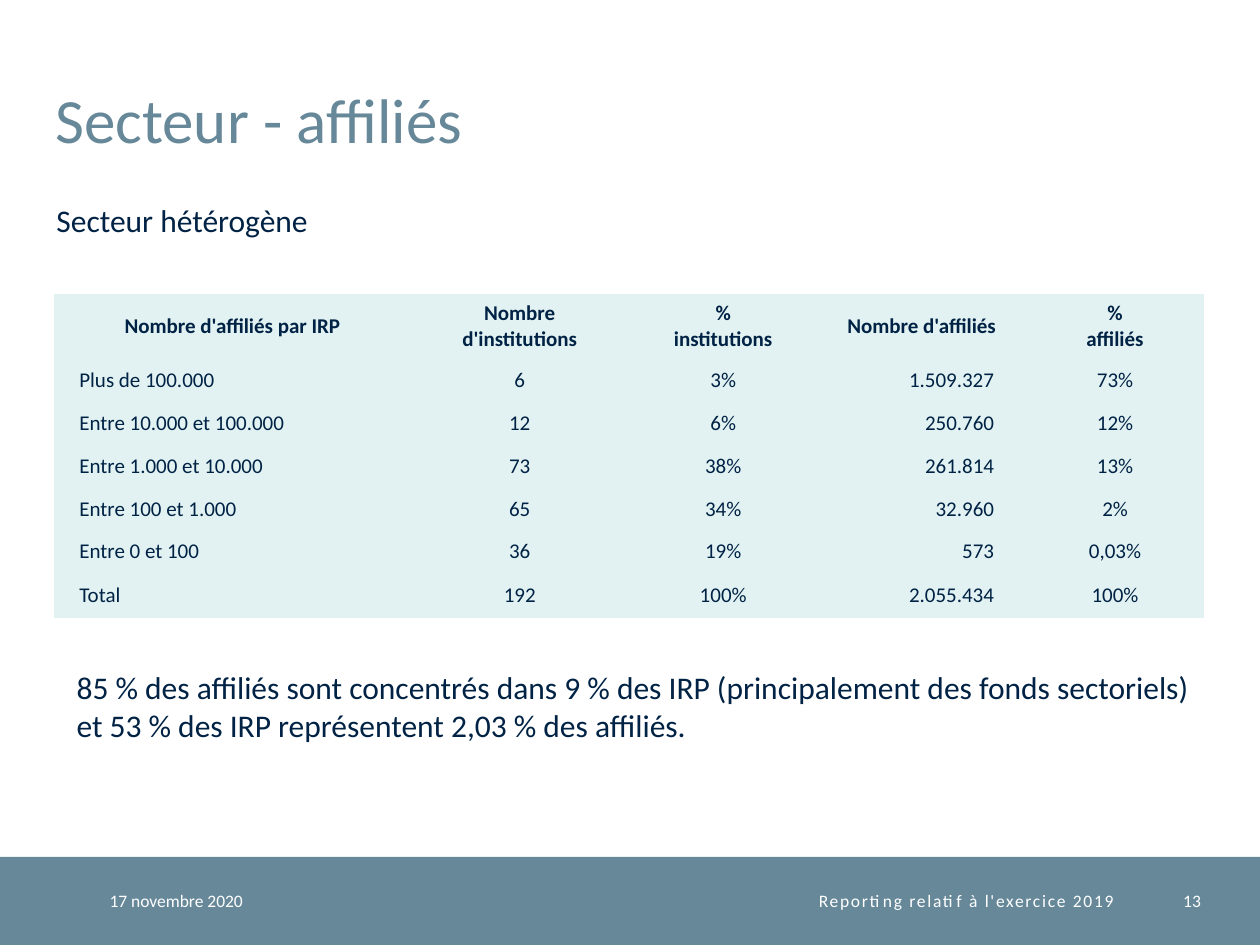
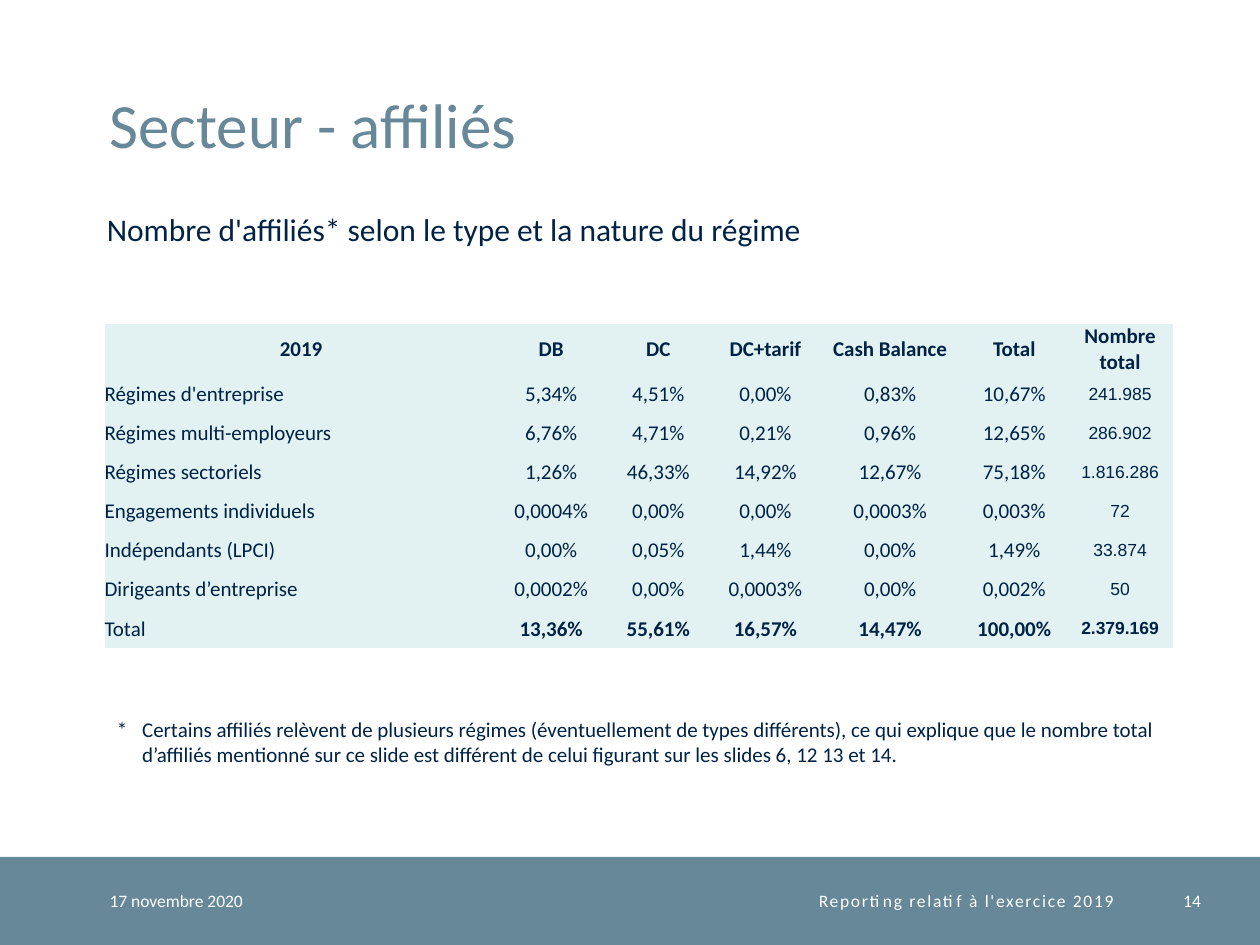
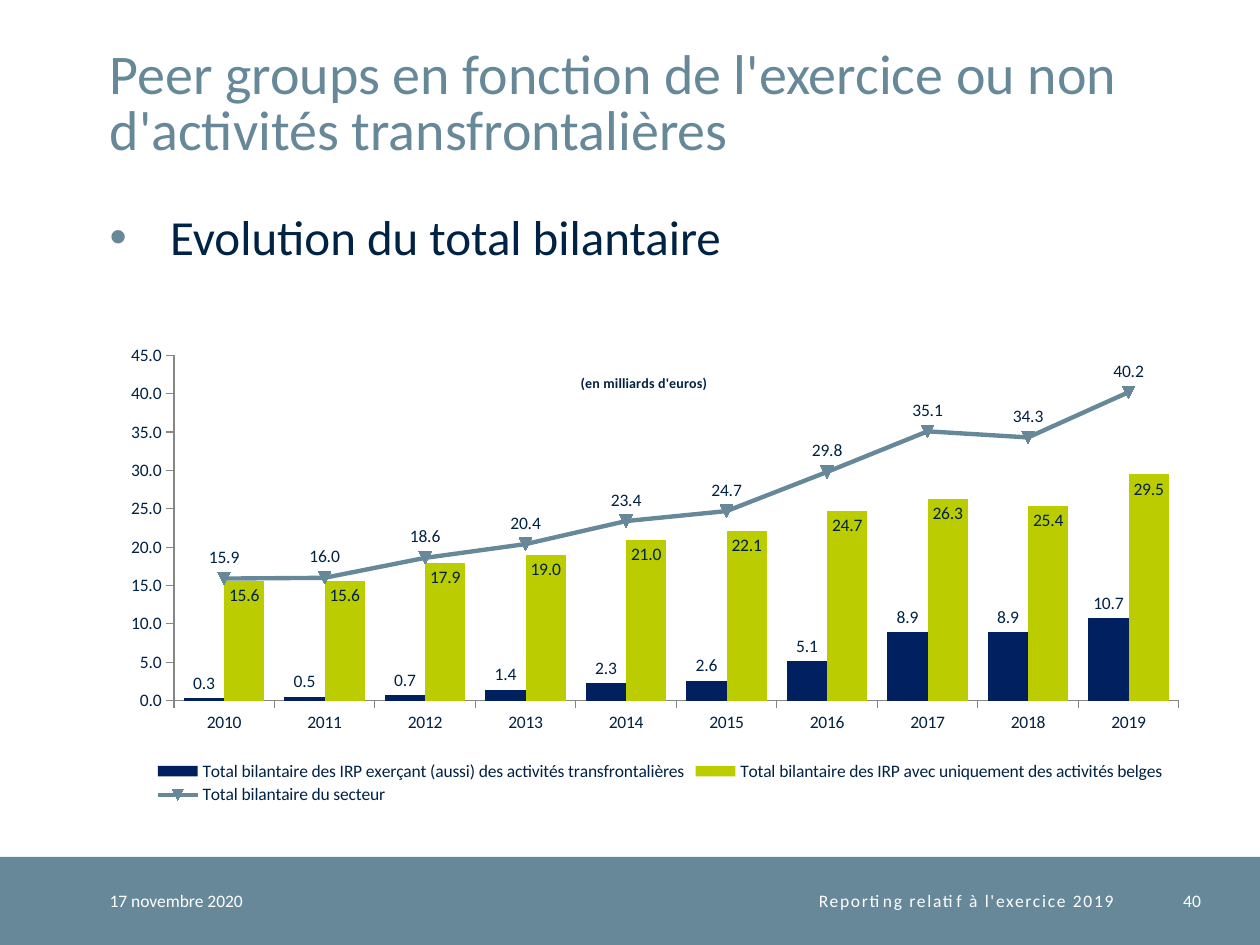
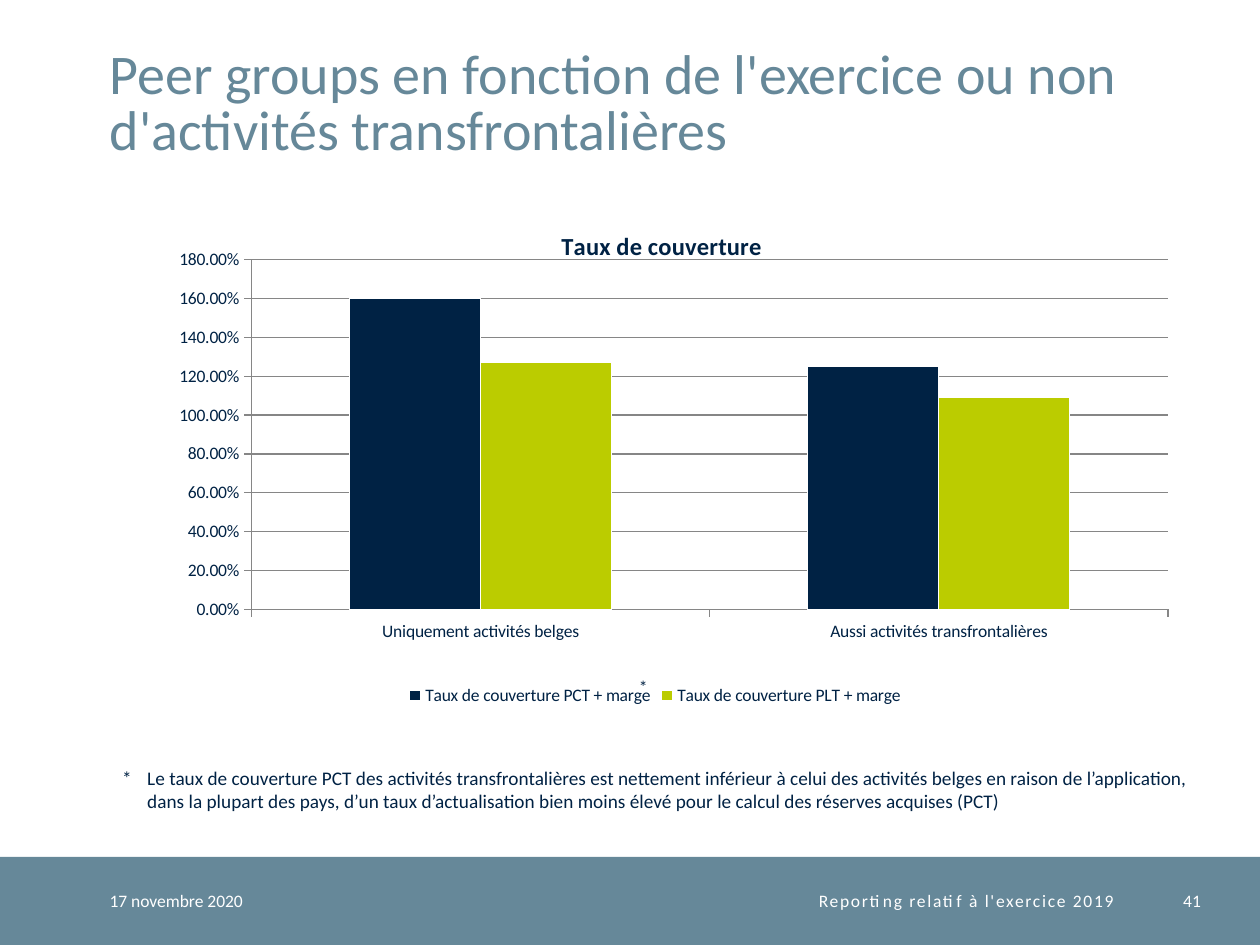
from dataclasses import dataclass

from pptx import Presentation
from pptx.chart.data import CategoryChartData
from pptx.dml.color import RGBColor
from pptx.enum.chart import XL_CHART_TYPE, XL_LABEL_POSITION, XL_LEGEND_POSITION, XL_TICK_MARK
from pptx.enum.shapes import MSO_SHAPE
from pptx.enum.text import MSO_ANCHOR, MSO_AUTO_SIZE, PP_ALIGN
from pptx.oxml import parse_xml
from pptx.oxml.ns import nsdecls, qn
from pptx.util import Pt

# Scale: 100 px to the inch
PX = 9144

# Enum members
LEFT, CENTER, RIGHT = PP_ALIGN.LEFT, PP_ALIGN.CENTER, PP_ALIGN.RIGHT
TOP, MIDDLE, BOTTOM = MSO_ANCHOR.TOP, MSO_ANCHOR.MIDDLE, MSO_ANCHOR.BOTTOM
NO_AUTOSIZE = MSO_AUTO_SIZE.NONE
RECTANGLE = MSO_SHAPE.RECTANGLE
COLUMN_CLUSTERED = XL_CHART_TYPE.COLUMN_CLUSTERED
LEGEND_BOTTOM = XL_LEGEND_POSITION.BOTTOM
TICK_OUT = XL_TICK_MARK.OUTSIDE
LABEL_OUTSIDE = XL_LABEL_POSITION.OUTSIDE_END
LABEL_INSIDE = XL_LABEL_POSITION.INSIDE_END
LABEL_ABOVE = XL_LABEL_POSITION.ABOVE

# Colours
STEEL = RGBColor(0x66, 0x88, 0x99)
NAVY = RGBColor(0x00, 0x22, 0x44)
DEEP_BLUE = RGBColor(0x00, 0x20, 0x60)
LIME = RGBColor(0xBB, 0xCC, 0x00)
PALE = RGBColor(0xE2, 0xF2, 0xF2)
WHITE = RGBColor(0xFF, 0xFF, 0xFF)
GREY = RGBColor(0x86, 0x86, 0x86)

FONT = "Calibri"
TITLE_ONLY, TITLE_AND_BODY = 5, 1
NO_INSETS = (0, 0, 0, 0)
BOX_INSETS = (10, 5, 10, 5)
PLAIN_TABLE_STYLE = "{2D5ABB26-0587-4C30-8999-92F81FD0307C}"

DATE = "17 novembre 2020"
REPORT = "Reporting relatif à l'exercice 2019"
SECTOR_TITLE = "Secteur - affiliés"
PEER_TITLE = "Peer groups en fonction de l'exercice ou non d'activités transfrontalières"


@dataclass
class Column:
    width: int
    align: PP_ALIGN = CENTER
    left: int = 0
    right: int = 0
    size: int = 12
    font: str = FONT


SIZE_COLUMNS = [Column(283, LEFT, left=20), Column(173), Column(150),
                Column(165, RIGHT, right=25), Column(142)]
SIZE_HEIGHTS = [52, 34, 34, 34, 34, 34, 36]
SIZE_ROWS = [
    ["Nombre d'affiliés par IRP", "Nombre\nd'institutions", "%\ninstitutions",
     "Nombre d'affiliés", "%\naffiliés"],
    ["Plus de 100.000", "6", "3%", "1.509.327", "73%"],
    ["Entre 10.000 et 100.000", "12", "6%", "250.760", "12%"],
    ["Entre 1.000 et 10.000", "73", "38%", "261.814", "13%"],
    ["Entre 100 et 1.000", "65", "34%", "32.960", "2%"],
    ["Entre 0 et 100", "36", "19%", "573", "0,03%"],
    ["Total", "192", "100%", "2.055.434", "100%"],
]

SCHEME_COLUMNS = [Column(312, LEFT), Column(85), Column(85), Column(85), Column(113),
                  Column(84), Column(84, size=10, font="Arial")]
SCHEME_ROWS = [
    ["2019", "DB", "DC", "DC+tarif", "Cash Balance", "Total", "Nombre total"],
    ["Régimes d'entreprise", "5,34%", "4,51%", "0,00%", "0,83%", "10,67%", "241.985"],
    ["Régimes multi-employeurs", "6,76%", "4,71%", "0,21%", "0,96%", "12,65%", "286.902"],
    ["Régimes sectoriels", "1,26%", "46,33%", "14,92%", "12,67%", "75,18%", "1.816.286"],
    ["Engagements individuels", "0,0004%", "0,00%", "0,00%", "0,0003%", "0,003%", "72"],
    ["Indépendants (LPCI)", "0,00%", "0,05%", "1,44%", "0,00%", "1,49%", "33.874"],
    ["Dirigeants d’entreprise", "0,0002%", "0,00%", "0,0003%", "0,00%", "0,002%", "50"],
    ["Total", "13,36%", "55,61%", "16,57%", "14,47%", "100,00%", "2.379.169"],
]

YEARS = [str(year) for year in range(2010, 2020)]
BALANCE_SERIES = [
    ("Total bilantaire des IRP exerçant (aussi) des activités transfrontalières",
     [0.3, 0.5, 0.7, 1.4, 2.3, 2.6, 5.1, 8.9, 8.9, 10.7]),
    ("Total bilantaire des IRP avec uniquement des activités belges",
     [15.6, 15.6, 17.9, 19.0, 21.0, 22.1, 24.7, 26.3, 25.4, 29.5]),
    ("Total bilantaire du secteur",
     [15.9, 16.0, 18.6, 20.4, 23.4, 24.7, 29.8, 35.1, 34.3, 40.2]),
]
COVERAGE_SERIES = [
    ("Taux de couverture PCT + marge", [1.6, 1.25]),
    ("Taux de couverture PLT + marge", [1.27, 1.09]),
]


# Text
def scaled(*lengths):
    return [length * PX for length in lengths]


def add_run(paragraph, text, size, color=NAVY, font=FONT, bold=False):
    run = paragraph.add_run()
    run.text = text
    run.font.size = Pt(size)
    run.font.name = font
    run.font.bold = bold
    run.font.color.rgb = color
    return run


def set_frame(frame, insets, anchor=TOP):
    frame.word_wrap = True
    frame.auto_size = NO_AUTOSIZE
    frame.vertical_anchor = anchor
    (frame.margin_left, frame.margin_top,
     frame.margin_right, frame.margin_bottom) = scaled(*insets)


def set_indent(paragraph, left, first):
    properties = paragraph._p.get_or_add_pPr()
    properties.set("marL", str(left * PX))
    properties.set("indent", str(first * PX))
    return properties


def add_text(slide, box, text, size, color=NAVY, align=LEFT, insets=BOX_INSETS, anchor=TOP):
    frame = slide.shapes.add_textbox(*scaled(*box)).text_frame
    set_frame(frame, insets, anchor)
    paragraph = frame.paragraphs[0]
    paragraph.alignment = align
    add_run(paragraph, text, size, color)
    return paragraph


def add_footnote(slide, box, text, size):
    paragraph = add_text(slide, box, "*\t" + text, size)
    set_indent(paragraph, 20, -20)


# Placeholders
def place(shape, box):
    shape.left, shape.top, shape.width, shape.height = scaled(*box)


def set_title(slide, text, size, left=87, top=20):
    title = slide.shapes.title
    place(title, (left, top, 863, 108))
    set_frame(title.text_frame, NO_INSETS, BOTTOM)
    paragraph = title.text_frame.paragraphs[0]
    paragraph.alignment = LEFT
    paragraph.line_spacing = Pt(32)
    add_run(paragraph, text, size, STEEL)


def set_bullet(slide, text):
    body = slide.placeholders[1]
    place(body, (47, 168, 903, 463))
    set_frame(body.text_frame, NO_INSETS)
    paragraph = body.text_frame.paragraphs[0]
    properties = set_indent(paragraph, 88, -48)
    properties.append(parse_xml(
        f'<a:buClr {nsdecls("a")}><a:srgbClr val="{STEEL}"/></a:buClr>'))
    properties.append(parse_xml(f'<a:buChar {nsdecls("a")} char="•"/>'))
    paragraph.line_spacing = Pt(30.8)
    paragraph.space_before = Pt(0)
    paragraph.space_after = Pt(6)
    add_run(paragraph, text, 28)


# Shared band and footer
def add_master_band(presentation, slide):
    band = slide.shapes.add_shape(RECTANGLE, *scaled(0, 680, 1000, 70))
    band.shadow.inherit = False
    band.fill.solid()
    band.fill.fore_color.rgb = STEEL
    band.line.fill.background()
    band.element.find(".//" + qn("p:cNvPr")).set("id", "20")
    presentation.slide_master.shapes.element.insert(2, band.element)


def add_footer(slide, number):
    for left, width, text, align, spacing in (
            (87, 177, DATE, LEFT, 0), (264, 620, REPORT, RIGHT, 100),
            (904, 49, str(number), RIGHT, 0)):
        paragraph = add_text(slide, (left, 680, width, 70), text, 10, WHITE, align,
                             NO_INSETS, MIDDLE)
        if spacing:
            paragraph.runs[0].font._element.set("spc", str(spacing))


def new_slide(presentation, number, layout=TITLE_ONLY):
    slide = presentation.slides.add_slide(presentation.slide_layouts[layout])
    add_footer(slide, number)
    return slide


# Tables
def fill_cell(cell, text, column, header, bold):
    cell.fill.solid()
    cell.fill.fore_color.rgb = PALE
    cell.vertical_anchor = MIDDLE
    cell.margin_top = cell.margin_bottom = 0
    cell.margin_left, cell.margin_right = (
        (0, 0) if header else scaled(column.left, column.right))
    frame = cell.text_frame
    for index, line in enumerate(text.split("\n")):
        paragraph = frame.add_paragraph() if index else frame.paragraphs[0]
        paragraph.alignment = CENTER if header else column.align
        size, font = (12, FONT) if header else (column.size, column.font)
        add_run(paragraph, line, size, font=font, bold=bold)


def add_data_table(slide, left, top, columns, heights, rows, bold_total=False):
    width = sum(column.width for column in columns)
    frame = slide.shapes.add_table(len(rows), len(columns),
                                   *scaled(left, top, width, sum(heights)))
    frame.element.find(".//" + qn("a:tableStyleId")).text = PLAIN_TABLE_STYLE
    table = frame.table
    table.first_row = table.horz_banding = False
    for index, column in enumerate(columns):
        table.columns[index].width = column.width * PX
    for row, (height, texts) in enumerate(zip(heights, rows)):
        table.rows[row].height = height * PX
        header = row == 0
        total = bold_total and row == len(rows) - 1
        for index, (text, column) in enumerate(zip(texts, columns)):
            fill_cell(table.cell(row, index), text, column, header,
                      header or (total and index > 0))


# Charts
def remove_children(element, tag):
    for child in element.findall(qn(tag)):
        element.remove(child)


def set_layout(chart, tag, position, **values):
    """Give a chart part a fixed place, as fractions of the chart."""
    part = chart.element.find(".//" + qn(tag))
    remove_children(part, "c:layout")
    target = '<c:layoutTarget val="inner"/>' if tag == "c:plotArea" else ""
    lengths = "".join(f'<c:{name} val="{value}"/>' for name, value in values.items())
    part.insert(position, parse_xml(
        f'<c:layout {nsdecls("c")}><c:manualLayout>{target}<c:xMode val="edge"/>'
        f'<c:yMode val="edge"/>{lengths}</c:manualLayout></c:layout>'))


def add_column_chart(slide, box, title, title_size, categories, series, gap,
                     number_format, maximum, step, grid):
    data = CategoryChartData(number_format=number_format)
    data.categories = categories
    for name, values in series:
        data.add_series(name, values)
    chart = slide.shapes.add_chart(COLUMN_CLUSTERED, *scaled(*box), data).chart
    chart.font.name = FONT
    chart.font.size = Pt(10)
    chart.font.color.rgb = NAVY
    chart.has_title = True
    add_run(chart.chart_title.text_frame.paragraphs[0], title, title_size, bold=True)
    chart.has_legend = True
    chart.legend.position = LEGEND_BOTTOM
    chart.legend.include_in_layout = False
    chart.plots[0].gap_width = gap
    chart.plots[0].vary_by_categories = False
    for axis in (chart.category_axis, chart.value_axis):
        axis.major_tick_mark = TICK_OUT
        axis.format.line.color.rgb = GREY
    axis = chart.value_axis
    axis.minimum_scale, axis.maximum_scale, axis.major_unit = 0, maximum, step
    axis.tick_labels.number_format = number_format
    axis.tick_labels.number_format_is_linked = False
    axis.has_major_gridlines = grid
    if grid:
        axis.major_gridlines.format.line.color.rgb = GREY
    return chart


def color_bars(series, color):
    series.format.fill.solid()
    series.format.fill.fore_color.rgb = color
    series.invert_if_negative = False


def show_labels(series, position):
    labels = series.data_labels
    labels.show_value = True
    labels.number_format = "#,##0.0"
    labels.number_format_is_linked = False
    labels.position = position


def move_last_series_to_line(chart):
    bars = chart.element.find(".//" + qn("c:barChart"))
    series = bars.findall(qn("c:ser"))[-1]
    remove_children(series, "c:invertIfNegative")
    axes = "".join(f'<c:axId val="{axis.get("val")}"/>' for axis in bars.findall(qn("c:axId")))
    line = parse_xml(
        f'<c:lineChart {nsdecls("c")}><c:grouping val="stacked"/><c:varyColors val="0"/>'
        f'<c:marker val="1"/>{axes}</c:lineChart>')
    line.insert(2, series)
    bars.addnext(line)
    return chart.plots[1].series[0]


def add_balance_chart(slide):
    chart = add_column_chart(slide, (86, 233, 867, 409), "(en milliards d'euros)", 8, YEARS,
                             BALANCE_SERIES, 50, "0.0", 45, 5, grid=False)
    sector = move_last_series_to_line(chart)
    cross_border, belgian = chart.plots[0].series
    color_bars(cross_border, DEEP_BLUE)
    color_bars(belgian, LIME)
    sector.smooth = False
    sector.format.line.color.rgb = STEEL
    sector.format.line.width = Pt(2.5)
    sector.marker.size = 7
    sector.marker.format.fill.solid()
    sector.marker.format.fill.fore_color.rgb = STEEL
    sector.marker.format.line.color.rgb = STEEL
    show_labels(cross_border, LABEL_OUTSIDE)
    show_labels(belgian, LABEL_INSIDE)
    show_labels(sector, LABEL_ABOVE)
    set_layout(chart, "c:title", 1, x=0.43, y=0.15)
    set_layout(chart, "c:plotArea", 0, x=0.06, y=0.12, w=0.92, h=0.67)
    set_layout(chart, "c:legend", 1, x=0.04, y=0.9, w=0.93, h=0.1)


def add_coverage_chart(slide):
    chart = add_column_chart(
        slide, (87, 162, 866, 402), "Taux de couverture", 14,
        ["Uniquement activités belges", "Aussi activités transfrontalières"],
        COVERAGE_SERIES, 150, "0.00%", 1.8, 0.2, grid=True)
    for series, color in zip(chart.plots[0].series, (NAVY, LIME)):
        color_bars(series, color)
        series.format.line.color.rgb = WHITE
    set_layout(chart, "c:title", 1, x=0.41, y=0.04)
    set_layout(chart, "c:plotArea", 0, x=0.13, y=0.11, w=0.84, h=0.69)


def main():
    presentation = Presentation()
    presentation.slide_width, presentation.slide_height = scaled(1000, 750)

    # Members by size of institution
    slide = new_slide(presentation, 13)
    add_master_band(presentation, slide)
    set_title(slide, SECTOR_TITLE, 36, left=44, top=16)
    add_text(slide, (35, 155, 323, 40), "Secteur hétérogène", 18)
    add_data_table(slide, 43, 233, SIZE_COLUMNS, SIZE_HEIGHTS, SIZE_ROWS)
    add_text(slide, (51, 525, 906, 71),
             "85 % des affiliés sont concentrés dans 9 % des IRP (principalement des fonds "
             "sectoriels) et 53 % des IRP représentent 2,03 % des affiliés.", 18)

    # Members by type of scheme
    slide = new_slide(presentation, 14)
    set_title(slide, SECTOR_TITLE, 36)
    add_text(slide, (75, 162, 843, 40),
             "Nombre d'affiliés* selon le type et la nature du régime", 18)
    add_footnote(slide, (83, 564, 874, 50),
                 "Certains affiliés relèvent de plusieurs régimes (éventuellement de types "
                 "différents), ce qui explique que le nombre total d’affiliés mentionné sur ce "
                 "slide est différent de celui figurant sur les slides 6, 12 13 et 14.", 12)
    add_data_table(slide, 83, 257, SCHEME_COLUMNS, [31] * len(SCHEME_ROWS), SCHEME_ROWS,
                   bold_total=True)

    # Balance sheet totals
    slide = new_slide(presentation, 40, TITLE_AND_BODY)
    set_title(slide, PEER_TITLE, 32)
    set_bullet(slide, "Evolution du total bilantaire")
    add_balance_chart(slide)

    # Coverage ratios
    slide = new_slide(presentation, 41)
    set_title(slide, PEER_TITLE, 32)
    add_footnote(slide, (87, 603, 878, 47),
                 "Le taux de couverture PCT des activités transfrontalières est nettement "
                 "inférieur à celui des activités belges en raison de l’application, dans la "
                 "plupart des pays, d’un taux d’actualisation bien moins élevé pour le calcul "
                 "des réserves acquises (PCT)", 11)
    add_coverage_chart(slide)
    add_text(slide, (507, 532, 8, 27), "*", 10, insets=(0, 5, 0, 5))

    presentation.save("out.pptx")


if __name__ == "__main__":
    main()
